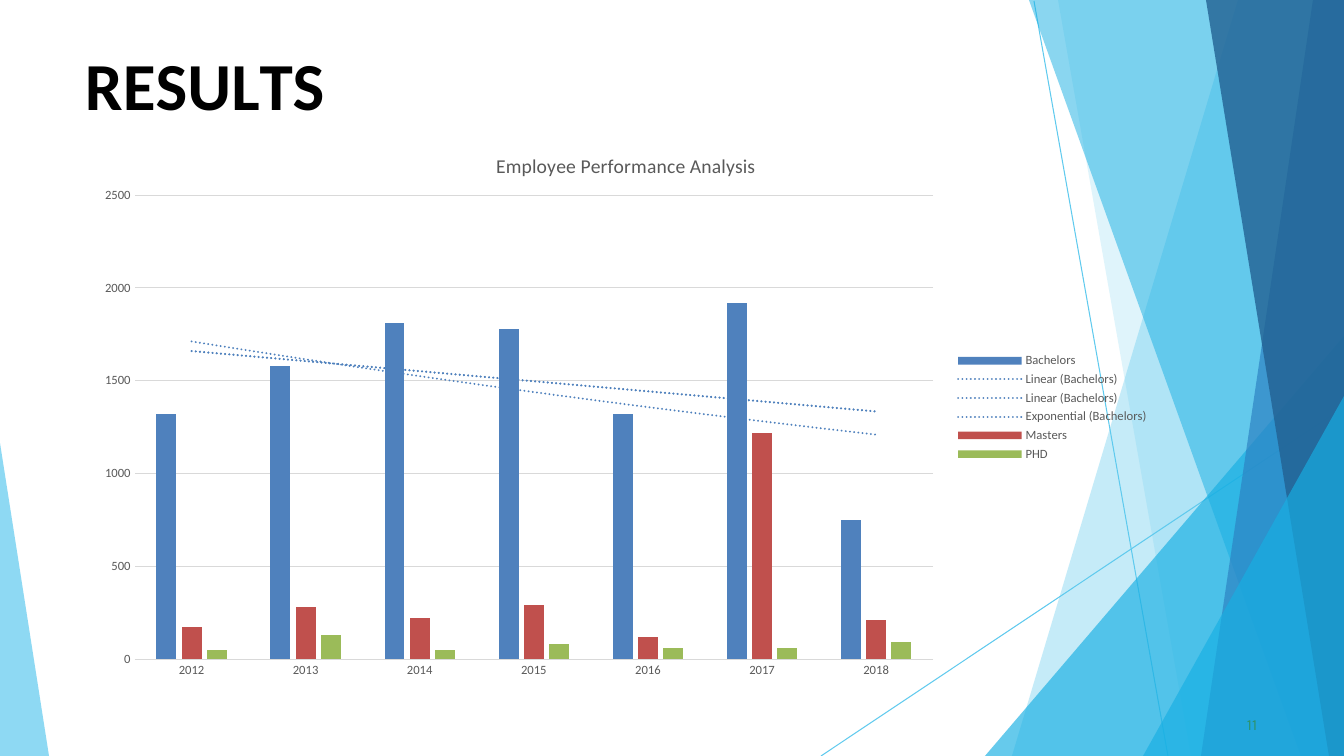
from lxml import etree
from pptx import Presentation
from pptx import util as u
from pptx.chart.data import CategoryChartData
from pptx.dml.color import RGBColor
from pptx.enum import chart as charts, dml, shapes
from pptx.oxml import parse_xml
from pptx.oxml.ns import nsdecls, qn

SCALE = 914400 / 100.8
WIDTH, HEIGHT = 1344, 756

BLACK = RGBColor(0x00, 0x00, 0x00)
GREY = RGBColor(0x59, 0x59, 0x59)
PALE_GREY = RGBColor(0xD9, 0xD9, 0xD9)
GREEN = RGBColor(0x2D, 0x93, 0x6B)
SKY = RGBColor(0x5F, 0xCA, 0xEE)
CYAN = RGBColor(0x17, 0xAF, 0xE3)
BLUE = RGBColor(0x2D, 0x83, 0xC3)
NAVY = RGBColor(0x22, 0x61, 0x92)
BACHELORS = RGBColor(0x4F, 0x81, 0xBD)
MASTERS = RGBColor(0xC0, 0x50, 0x4D)
PHD = RGBColor(0x9B, 0xBB, 0x59)

# Facets that reach the right edge: top x, top y, bottom x, colour, opacity %
FACETS = [
    (1238, 0, 1012, SKY, 36),
    (1058, 0, 1191, SKY, 20),
    (WIDTH, 336, 985, CYAN, 66),
    (1029, 0, 1301, CYAN, 50),
    (1313, 0, 1201, BLUE, 70),
    (1206, 0, 1329, NAVY, 80),
    (WIDTH, 396, 1143, CYAN, 66),
]
YEARS = [str(year) for year in range(2012, 2019)]
DEGREES = [
    ("Bachelors", BACHELORS, [1320, 1580, 1810, 1780, 1320, 1920, 750]),
    ("Masters", MASTERS, [170, 280, 220, 290, 120, 1220, 210]),
    ("PHD", PHD, [50, 130, 50, 80, 60, 60, 90]),
]


def px(length):
    return u.Emu(round(length * SCALE))


def format_font(font, size, color, name="Calibri", bold=False):
    font.size, font.name, font.bold = u.Pt(size), name, bold
    font.color.rgb = color


def manual_layout(inner=False, **fractions):
    """Return a c:layout element; fractions are x, y, w and h of the chart."""
    target = '<c:layoutTarget val="inner"/>' if inner else ""
    modes = '<c:xMode val="edge"/><c:yMode val="edge"/>'
    sizes = "".join(f'<c:{key} val="{value}"/>' for key, value in fractions.items())
    return parse_xml(f'<c:layout {nsdecls("c")}><c:manualLayout>{target}{modes}{sizes}'
                     '</c:manualLayout></c:layout>')


def add_trend(series, kind, color):
    trend = parse_xml(
        f'<c:trendline {nsdecls("c", "a")}><c:spPr><a:ln w="19050" cap="rnd"><a:solidFill>'
        f'<a:srgbClr val="{color}"/></a:solidFill><a:prstDash val="sysDot"/></a:ln></c:spPr>'
        f'<c:trendlineType val="{kind}"/><c:dispRSqr val="0"/><c:dispEq val="0"/></c:trendline>')
    series._element.find(qn("c:cat")).addprevious(trend)


class SlideBuilder:
    def __init__(self, page):
        self.page = page

    def line(self, start, end, color, width=0.75):
        line = self.page.shapes.add_connector(
            shapes.MSO_CONNECTOR.STRAIGHT, *map(px, (*start, *end)))
        line.line.color.rgb = color
        line.line.width = u.Pt(width)
        etree.SubElement(line._element.spPr, qn("a:effectLst"))

    def facet(self, points, color, opacity):
        builder = self.page.shapes.build_freeform(*points[0], scale=SCALE)
        builder.add_line_segments(points[1:], close=True)
        facet = builder.convert_to_shape()
        facet.shadow.inherit = False
        facet.line.fill.background()
        facet.fill.solid()
        facet.fill.fore_color.rgb = color
        shade = facet._element.spPr.find(qn("a:solidFill"))[0]
        etree.SubElement(shade, qn("a:alpha"), val=str(opacity * 1000))

    def text(self, spans, left, top, width, height, before=0, inset=0, **style):
        """Add one paragraph; spans pair a text with its letter spacing in points."""
        box = self.page.shapes.add_textbox(*map(px, (left, top, width, height)))
        frame = box.text_frame
        frame.word_wrap = True
        frame.margin_left, frame.margin_top = px(inset), px(1)
        frame.margin_right = frame.margin_bottom = 0
        para = frame.paragraphs[0]
        para.space_before = u.Pt(before)
        for words, spacing in spans:
            span = para.add_run()
            span.text = words
            format_font(span.font, **style)
            span.font._element.set("spc", str(round(spacing * 100)))

    def column_chart(self, title, left, top, width, height):
        data = CategoryChartData()
        data.categories = YEARS
        for name, _, values in DEGREES:
            data.add_series(name, values)
        frame = self.page.shapes.add_chart(
            charts.XL_CHART_TYPE.COLUMN_CLUSTERED, *map(px, (left, top, width, height)), data)
        chart = frame.chart
        format_font(chart.font, 10, BLACK)

        chart.has_title = True
        heading = chart.chart_title.text_frame
        heading.text = title
        format_font(heading.paragraphs[0].runs[0].font, 14, GREY)
        title_element = chart.chart_title._element
        for old in title_element.findall(qn("c:layout")):
            title_element.remove(old)
        title_element.find(qn("c:tx")).addnext(manual_layout(x=0.38, y=0.04))
        chart.chart_title.include_in_layout = False

        chart.has_legend = True
        chart.legend.position = charts.XL_LEGEND_POSITION.RIGHT
        chart.legend.include_in_layout = False
        format_font(chart.legend.font, 9, GREY)

        for axis in (chart.category_axis, chart.value_axis):
            axis.major_tick_mark = axis.minor_tick_mark = charts.XL_TICK_MARK.NONE
            format_font(axis.tick_labels.font, 9, GREY)
        values = chart.value_axis
        values.minimum_scale, values.maximum_scale, values.major_unit = 0, 2500, 500
        values.format.line.fill.background()
        for line in (chart.category_axis.format.line, values.major_gridlines.format.line):
            line.color.rgb = PALE_GREY
            line.width = u.Pt(0.75)

        plot = chart.plots[0]
        plot.gap_width, plot.overlap, plot.vary_by_categories = 219, -27, False
        for series, (_, color, _) in zip(plot.series, DEGREES):
            series.format.fill.solid()
            series.format.fill.fore_color.rgb = color
        for kind in ("linear", "linear", "exp"):
            add_trend(plot.series[0], kind, BACHELORS)

        area = chart._chartSpace.chart.plotArea
        for old in area.findall(qn("c:layout")):
            area.remove(old)
        area.insert(0, manual_layout(inner=True, x=0.047, y=0.123, w=0.743, h=0.824))


def main():
    deck = Presentation()
    deck.slide_width, deck.slide_height = px(WIDTH), px(HEIGHT)
    slide = SlideBuilder(deck.slides.add_slide(deck.slide_layouts[6]))

    slide.line((1034, 1), (1168, HEIGHT), SKY)
    slide.line((WIDTH, 407), (821, HEIGHT), SKY)
    for top_x, top_y, bottom_x, color, opacity in FACETS:
        corners = [(WIDTH, top_y), (top_x, top_y), (bottom_x, HEIGHT), (WIDTH, HEIGHT)]
        slide.facet(list(dict.fromkeys(corners)), color, opacity)
    slide.facet([(0, 443), (0, HEIGHT), (49, HEIGHT)], SKY, 70)

    slide.text([("R", 0), ("E", -0.4), ("S", 0.1), ("U", -0.3), ("L", -4), ("TS", 0)],
               84, 42, 269, 84, before=1.1, inset=1, size=48, color=BLACK, bold=True)
    slide.text([("11", 0.1)], 1243, 714, 25, 21, before=0.6, inset=4,
               size=11, color=GREEN, name="Karla")
    slide.column_chart("Employee Performance Analysis", 84, 126, 1075, 563)
    deck.save("out.pptx")


if __name__ == "__main__":
    main()
